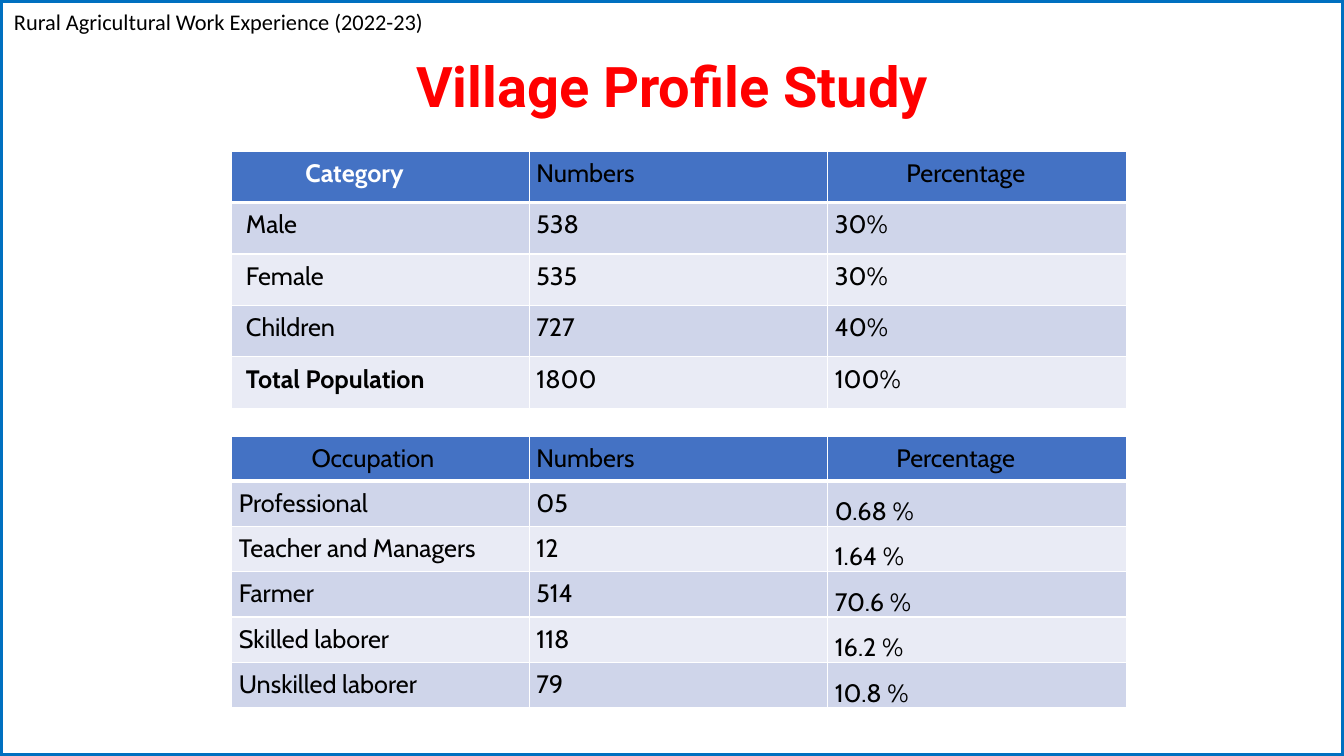
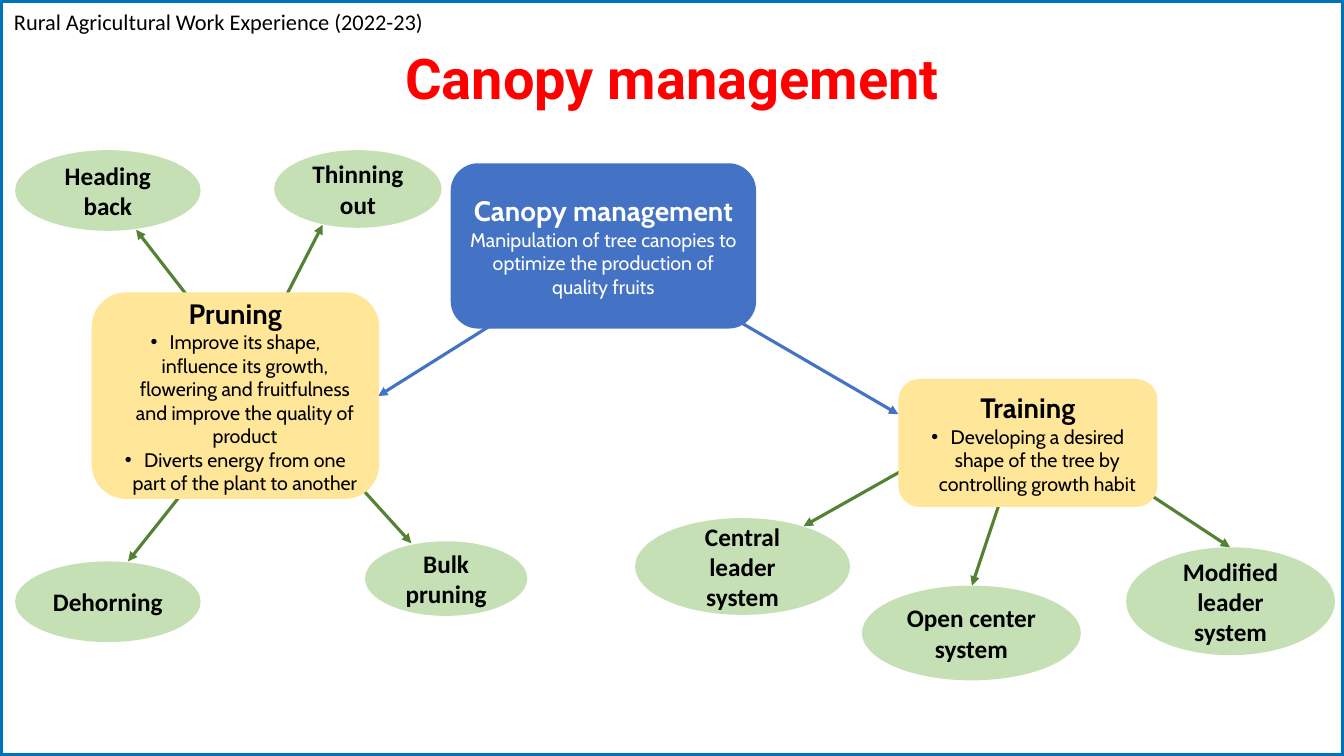
from lxml import etree
from pptx import Presentation
from pptx.dml.color import RGBColor
from pptx.enum.shapes import MSO_CONNECTOR, MSO_SHAPE
from pptx.enum.text import MSO_ANCHOR, PP_ALIGN
from pptx.oxml.ns import qn
from pptx.util import Inches, Pt

WIDTH, HEIGHT = 13.33, 7.5
BLACK, WHITE, RED = "000000", "FFFFFF", "FF0000"
FRAME_BLUE, BLUE, GREEN = "0070C0", "4472C4", "548235"
YELLOW, PALE_GREEN = "FFE699", "C5E0B4"
BANDS = ("CFD5EA", "E9EBF5")
BODY_FONT, DIAGRAM_FONT, TITLE_FONT = "Calibri", "Cabin", "Roboto"
RUNNING_HEAD = "Rural Agricultural Work Experience (2022-23)"

TABLE_LEFT, COLUMN_WIDTH, CELL_INSET = 2.29, 2.96, 0.07
TABLES = [
    {
        "top": 1.5,
        "row_height": 0.51,
        "header_indents": (0.67, 0, 0.71),
        "label_indent": 0.08,
        "bold": {"Category": WHITE, "Total Population": BLACK},
        "low_percentages": False,
        "rows": [
            ("Category", "Numbers", "Percentage"),
            ("Male", "538", "30%"),
            ("Female", "535", "30%"),
            ("Children", "727", "40%"),
            ("Total Population", "1800", "100%"),
        ],
    },
    {
        "top": 4.33,
        "row_height": 0.44,
        "header_indents": (0.73, 0, 0.61),
        "label_indent": 0.01,
        "bold": {},
        "low_percentages": True,
        "rows": [
            ("Occupation", "Numbers", "Percentage"),
            ("Professional", "05", "0.68 %"),
            ("Teacher and Managers", "12", "1.64 %"),
            ("Farmer", "514", "70.6 %"),
            ("Skilled laborer", "118", "16.2 %"),
            ("Unskilled laborer", "79", "10.8 %"),
        ],
    },
]

# Box, fill, text colour, heading, body paragraphs, bulleted
TOPICS = [
    ((4.47, 1.62, 3.03, 1.64), BLUE, WHITE, "Canopy management",
     ["Manipulation of tree canopies to optimize the production of quality fruits"], False),
    ((0.91, 2.9, 2.85, 2.05), YELLOW, BLACK, "Pruning",
     ["Improve its shape, influence its growth, flowering and fruitfulness "
      "and improve the quality of product",
      "Diverts energy from one part of the plant to another"], True),
    ((8.91, 3.76, 2.57, 1.27), YELLOW, BLACK, "Training",
     ["Developing a desired shape of the tree by controlling growth habit"], True),
]
METHODS = [
    ("Bulk pruning", (3.62, 5.37, 1.61, 0.74)),
    ("Dehorning", (0.15, 5.57, 1.84, 0.8)),
    ("Thinning out", (2.72, 1.49, 1.66, 0.77)),
    ("Heading back", (0.15, 1.49, 1.84, 0.8)),
    ("Modified leader system", (11.17, 5.43, 2.07, 1.07)),
    ("Central leader system", (6.3, 5.14, 2.13, 0.96)),
    ("Open center system", (8.55, 5.81, 2.17, 0.94)),
]
ARROWS = {
    GREEN: [
        ((11.41, 4.91), (12.2, 5.43)),
        ((2.82, 2.97), (3.2, 2.23)),
        ((9.94, 4.91), (9.64, 5.81)),
        ((9.14, 4.56), (7.97, 5.22)),
        ((3.5, 4.75), (4.08, 5.39)),
        ((1.87, 2.95), (1.35, 2.28)),
        ((1.81, 4.89), (1.27, 5.57)),
    ],
    BLUE: [
        ((4.96, 3.17), (3.75, 3.93)),
        ((7.21, 3.12), (8.91, 4.11)),
    ],
}


def rgb(value):
    return RGBColor.from_string(value)


def add_run(paragraph, text, size, font, color, bold=False):
    run = paragraph.add_run()
    run.text = text
    run.font.size = Pt(size)
    run.font.name = font
    run.font.color.rgb = rgb(color)
    run.font.bold = bold


def set_indent(paragraph, left, first_line=0):
    properties = paragraph._p.get_or_add_pPr()
    properties.set("marL", str(Inches(left)))
    properties.set("indent", str(Inches(first_line)))
    return properties


def add_bullet(paragraph):
    properties = set_indent(paragraph, 0.19, -0.19)
    etree.SubElement(properties, qn("a:buFont"), typeface="Arial")
    etree.SubElement(properties, qn("a:buChar"), char="•")


def add_text(slide, box, text, size, font, color, bold=False, align=PP_ALIGN.LEFT):
    frame = slide.shapes.add_textbox(*map(Inches, box)).text_frame
    frame.word_wrap = True
    paragraph = frame.paragraphs[0]
    paragraph.alignment = align
    add_run(paragraph, text, size, font, color, bold)


def add_node(slide, kind, box, fill):
    """Add a filled shape without outline and return its text frame."""
    shape = slide.shapes.add_shape(kind, *map(Inches, box))
    shape.shadow.inherit = False
    shape.fill.solid()
    shape.fill.fore_color.rgb = rgb(fill)
    shape.line.fill.background()
    shape.text_frame.word_wrap = True
    shape.text_frame.vertical_anchor = MSO_ANCHOR.MIDDLE
    shape.text_frame.paragraphs[0].alignment = PP_ALIGN.CENTER
    return shape.text_frame


def add_arrow(slide, start, end, color):
    connector = slide.shapes.add_connector(
        MSO_CONNECTOR.STRAIGHT, *map(Inches, start + end))
    connector.line.color.rgb = rgb(color)
    connector.line.width = Pt(2.25)
    etree.SubElement(connector.line._get_or_add_ln(), qn("a:tailEnd"), type="triangle")
    etree.SubElement(connector._element.spPr, qn("a:effectLst"))


def add_base_slide(presentation, title, title_box):
    """Add a slide with the frame, running head and title."""
    slide = presentation.slides.add_slide(presentation.slide_layouts[6])
    frame = slide.shapes.add_shape(
        MSO_SHAPE.RECTANGLE, 0, 0, Inches(WIDTH), Inches(HEIGHT))
    frame.shadow.inherit = False
    frame.fill.background()
    frame.line.color.rgb = rgb(FRAME_BLUE)
    frame.line.width = Pt(4.5)
    add_text(slide, (0.04, 0.03, 4.27, 0.37), RUNNING_HEAD, 16, BODY_FONT, BLACK)
    add_text(slide, title_box, title, 40, TITLE_FONT, RED, True, PP_ALIGN.CENTER)
    return slide


def set_borders(cell, top, bottom):
    """Draw white cell borders; top and bottom are widths in points."""
    properties = cell._tc.get_or_add_tcPr()
    widths = {"a:lnL": 1, "a:lnR": 1, "a:lnT": top, "a:lnB": bottom}
    for position, (tag, width) in enumerate(widths.items()):
        line = etree.Element(qn(tag), w=str(Pt(width)))
        fill = etree.SubElement(line, qn("a:solidFill"))
        etree.SubElement(fill, qn("a:srgbClr"), val=WHITE)
        properties.insert(position, line)


def fill_cell(cell, text, row, column, content):
    is_low = content["low_percentages"] and row > 0 and column == 2
    cell.margin_left = cell.margin_right = Inches(CELL_INSET)
    cell.margin_top = cell.margin_bottom = Inches(0 if is_low else CELL_INSET)
    cell.fill.solid()
    cell.fill.fore_color.rgb = rgb(BANDS[(row - 1) % 2] if row else BLUE)
    set_borders(cell, 3 if row == 1 else 1, 1 if row else 3)

    paragraph = cell.text_frame.paragraphs[0]
    if row == 0:
        set_indent(paragraph, content["header_indents"][column])
    elif column == 0:
        set_indent(paragraph, content["label_indent"])
    if is_low:
        paragraph.line_spacing = 1.5
    color = content["bold"].get(text, BLACK)
    add_run(paragraph, text, 18, DIAGRAM_FONT, color, text in content["bold"])


def add_data_table(slide, content):
    rows = content["rows"]
    columns = len(rows[0])
    table = slide.shapes.add_table(
        len(rows), columns, Inches(TABLE_LEFT), Inches(content["top"]),
        Inches(COLUMN_WIDTH * columns), Inches(content["row_height"] * len(rows))).table
    for column in table.columns:
        column.width = Inches(COLUMN_WIDTH)
    for row, texts in enumerate(rows):
        table.rows[row].height = Inches(content["row_height"])
        for column, text in enumerate(texts):
            fill_cell(table.cell(row, column), text, row, column, content)


def build_village_profile(presentation):
    slide = add_base_slide(presentation, "Village Profile Study", (2.46, 0.46, 8.41, 0.77))
    for content in TABLES:
        add_data_table(slide, content)


def build_canopy_management(presentation):
    slide = add_base_slide(presentation, "Canopy management", (0.24, 0.38, 12.85, 0.77))
    for color, arrows in ARROWS.items():
        for start, end in arrows:
            add_arrow(slide, start, end, color)
    for box, fill, color, heading, body, bulleted in TOPICS:
        frame = add_node(slide, MSO_SHAPE.ROUNDED_RECTANGLE, box, fill)
        add_run(frame.paragraphs[0], heading, 20, DIAGRAM_FONT, color, True)
        for text in body:
            paragraph = frame.add_paragraph()
            paragraph.alignment = PP_ALIGN.CENTER
            if bulleted:
                add_bullet(paragraph)
            add_run(paragraph, text, 14, DIAGRAM_FONT, color)
    for name, box in METHODS:
        frame = add_node(slide, MSO_SHAPE.OVAL, box, PALE_GREEN)
        add_run(frame.paragraphs[0], name, 18, BODY_FONT, BLACK, True)


def main():
    presentation = Presentation()
    presentation.slide_width = Inches(WIDTH)
    presentation.slide_height = Inches(HEIGHT)
    build_village_profile(presentation)
    build_canopy_management(presentation)
    presentation.save("out.pptx")


if __name__ == "__main__":
    main()
